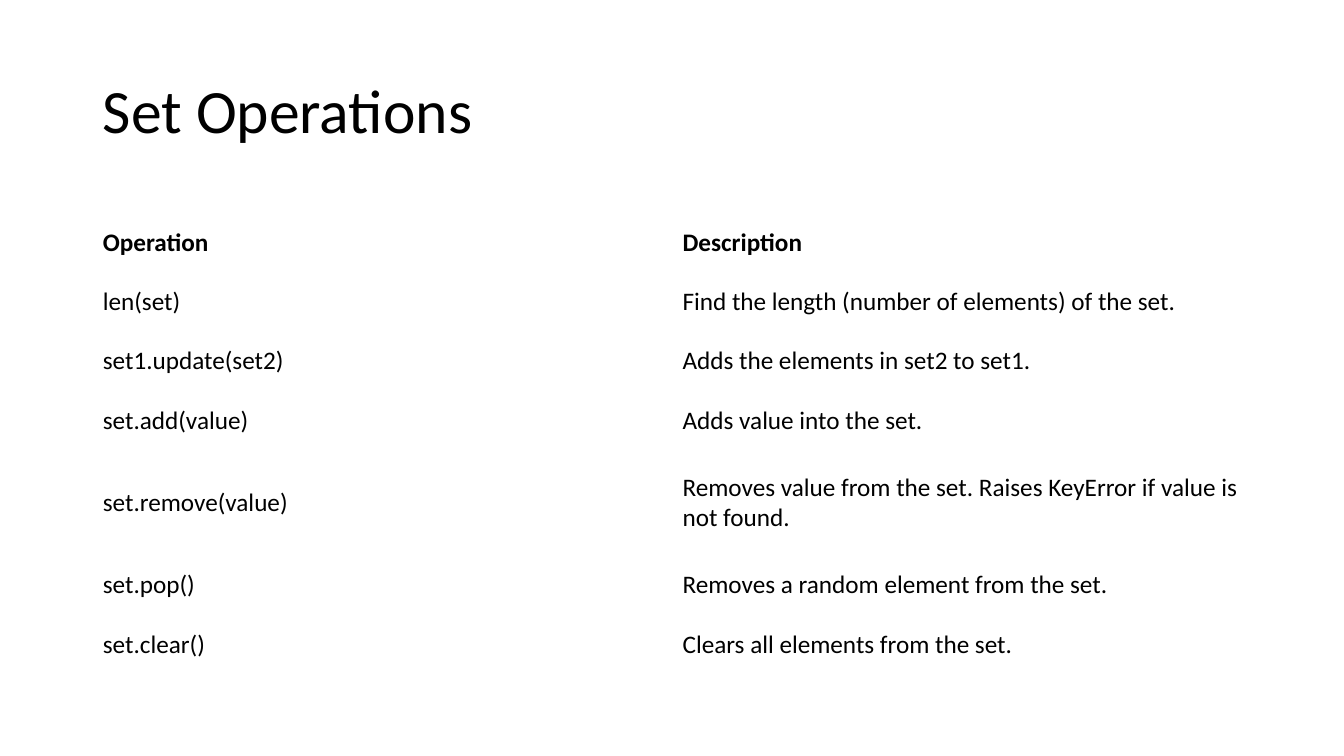
from pptx import Presentation
from pptx.dml.color import RGBColor as RGB
from pptx.enum.text import MSO_ANCHOR as ANCHOR, PP_ALIGN as ALIGN
from pptx.util import Inches, Pt

COLORS = {"text": "000000", "background": "FFFFFF"}
FONT = "Calibri"
WIDTH, HEIGHT = Inches(13.33), Inches(7.5)
LEFT, CONTENT_WIDTH = Inches(0.92), Inches(11.5)
ROW, TALL_ROW = Inches(0.59), Inches(1.04)
TALL_OPERATION = "set.remove(value)"
OPERATIONS = [
    ("Operation", "Description"),
    ("len(set)", "Find the length (number of elements) of the set."),
    ("set1.update(set2)", "Adds the elements in set2 to set1."),
    ("set.add(value)", "Adds value into the set."),
    (TALL_OPERATION, "Removes value from the set. Raises KeyError if value is not found."),
    ("set.pop()", "Removes a random element from the set."),
    ("set.clear()", "Clears all elements from the set."),
]


def add_text(tf, text, size, bold=False):
    """Write one left-aligned run into a text frame."""
    p = tf.paragraphs[0]
    p.alignment = ALIGN.LEFT
    r = p.add_run()
    r.text = text
    r.font.name, r.font.size, r.font.bold = FONT, Pt(size), bold
    r.font.color.rgb = RGB.from_string(COLORS["text"])
    return p


def set_title(s, text):
    """Place and format the title placeholder."""
    sp = s.shapes.title
    sp.left, sp.top = LEFT, Inches(0.4)
    sp.width, sp.height = CONTENT_WIDTH, Inches(1.45)
    tf = sp.text_frame
    tf.word_wrap = True
    tf.vertical_anchor = ANCHOR.MIDDLE
    add_text(tf, text, 44).line_spacing = 0.9


def add_operations_table(s, rows):
    """Add a plain two-column table with a bold heading row."""
    heights = [TALL_ROW if row[0] == TALL_OPERATION else ROW for row in rows]
    table = s.shapes.add_table(len(rows), len(rows[0]), LEFT, Inches(2.11),
                               CONTENT_WIDTH, sum(heights)).table
    table.horz_banding = False
    for i, row in enumerate(rows):
        table.rows[i].height = heights[i]
        for j, text in enumerate(row):
            cell = table.cell(i, j)
            cell.fill.background()
            cell.vertical_anchor = ANCHOR.MIDDLE
            add_text(cell.text_frame, text, 18, bold=i == 0)


def main():
    """Build and save the slide."""
    prs = Presentation()
    prs.slide_width, prs.slide_height = WIDTH, HEIGHT
    s = prs.slides.add_slide(prs.slide_layouts[5])
    s.background.fill.solid()
    s.background.fill.fore_color.rgb = RGB.from_string(COLORS["background"])
    set_title(s, "Set Operations")
    add_operations_table(s, OPERATIONS)
    prs.save("out.pptx")


if __name__ == "__main__":
    main()
